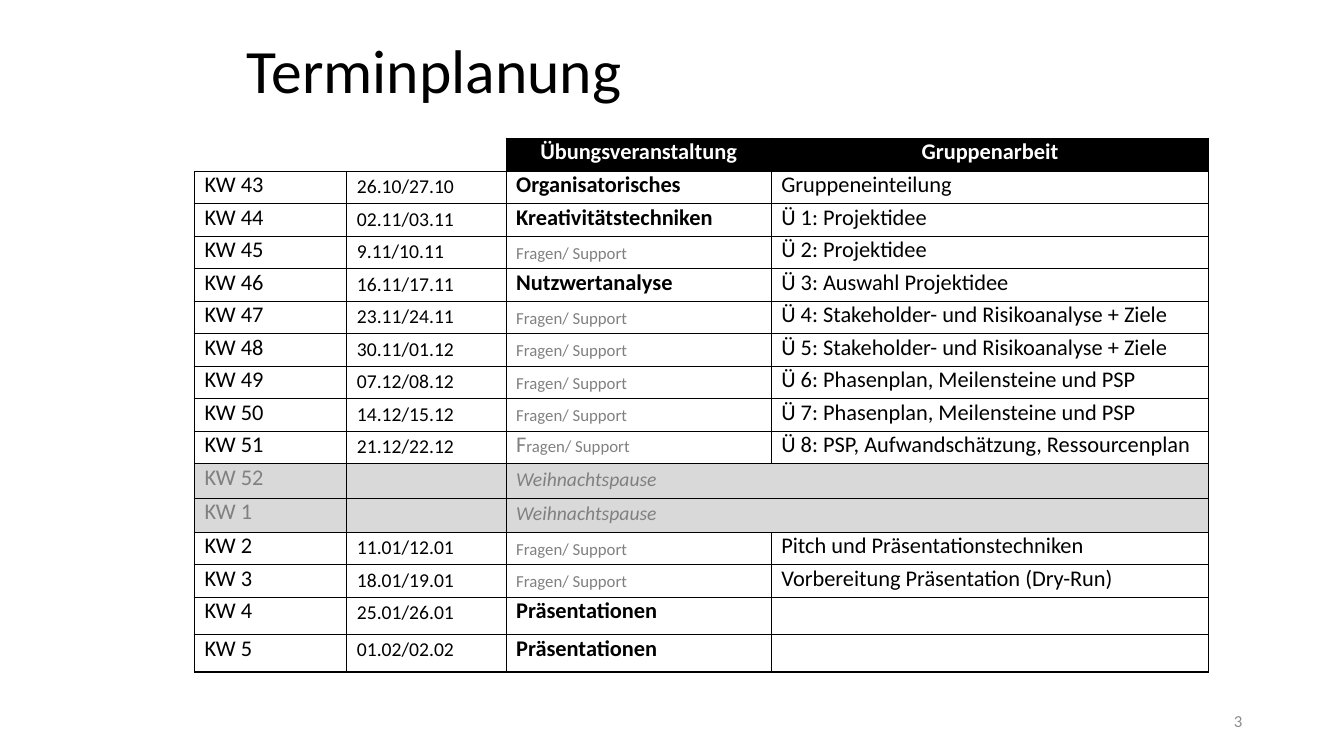
"""Build the schedule slide with its table of weeks."""
from dataclasses import dataclass

from lxml.etree import SubElement
from pptx import Presentation
from pptx.dml.color import RGBColor
from pptx.enum.text import MSO_ANCHOR, PP_ALIGN
from pptx.oxml import parse_xml
from pptx.oxml.ns import nsdecls, qn
from pptx.util import Inches, Pt

COLORS = {"black": "000000", "white": "FFFFFF", "gray": "808080",
          "band": "D9D9D9", "page": "8C8C8C"}
FONT = "Calibri"
SIDES = "LRTB"


@dataclass(frozen=True)
class Run:
    text: str
    size: float = 16
    color: str = "black"
    bold: bool = False
    slant: bool = False


@dataclass(frozen=True)
class Week:
    name: str
    days: str
    topic: tuple[Run, ...]
    task: str = ""
    high: float = 0.32
    pause: bool = False


def topic(text: str) -> tuple[Run, ...]:
    return (Run(text, bold=True),)


HELP = (Run("Fragen/ Support", 12, "gray"),)
MIXED = (Run("F", 16, "gray"), Run("ragen/ Support", 12, "gray"))
BREAK = (Run("Weihnachtspause", 14, "gray", slant=True),)
TALKS = topic("Präsentationen")

WEEKS = (
    Week("KW 43", "26.10/27.10", topic("Organisatorisches"), "Gruppeneinteilung"),
    Week("KW 44", "02.11/03.11", topic("Kreativitätstechniken"), "Ü 1: Projektidee"),
    Week("KW 45", "9.11/10.11", HELP, "Ü 2: Projektidee"),
    Week("KW 46", "16.11/17.11", topic("Nutzwertanalyse"), "Ü 3: Auswahl Projektidee"),
    Week("KW 47", "23.11/24.11", HELP, "Ü 4: Stakeholder- und Risikoanalyse + Ziele"),
    Week("KW 48", "30.11/01.12", HELP, "Ü 5: Stakeholder- und Risikoanalyse + Ziele"),
    Week("KW 49", "07.12/08.12", HELP, "Ü 6: Phasenplan, Meilensteine und PSP"),
    Week("KW 50", "14.12/15.12", HELP, "Ü 7: Phasenplan, Meilensteine und PSP"),
    Week("KW 51", "21.12/22.12", MIXED, "Ü 8: PSP, Aufwandschätzung, Ressourcenplan"),
    Week("KW 52", "", BREAK, high=0.34, pause=True),
    Week("KW 1", "", BREAK, high=0.34, pause=True),
    Week("KW 2", "11.01/12.01", HELP, "Pitch und Präsentationstechniken"),
    Week("KW 3", "18.01/19.01", HELP, "Vorbereitung Präsentation (Dry-Run)"),
    Week("KW 4", "25.01/26.01", TALKS, high=0.37),
    Week("KW 5", "01.02/02.02", TALKS, high=0.37),
)
HEADS = ("", "", "Übungsveranstaltung", "Gruppenarbeit")
WIDTHS = (1.51, 1.58, 2.63, 4.34)
HEAD = 0.33


def rgb(name: str) -> RGBColor:
    return RGBColor.from_string(COLORS[name])


def write(para, runs: tuple[Run, ...]) -> None:
    for item in runs:
        run = para.add_run()
        run.text = item.text
        font = run.font
        font.name, font.size = FONT, Pt(item.size)
        font.bold, font.italic = item.bold, item.slant
        font.color.rgb = rgb(item.color)


def label(slide, box: tuple[float, ...], run: Run, align: PP_ALIGN, space: float) -> None:
    frame = slide.shapes.add_textbox(*map(Inches, box)).text_frame
    frame.word_wrap = True
    frame.vertical_anchor = MSO_ANCHOR.MIDDLE
    para = frame.paragraphs[0]
    para.alignment, para.line_spacing = align, space
    write(para, (run,))


def border(cell, sides: str) -> None:
    props = cell._tc.get_or_add_tcPr()
    for spot, side in enumerate(SIDES):
        fill = (f'<a:solidFill><a:srgbClr val="{COLORS["black"]}"/></a:solidFill>'
                if side in sides else "<a:noFill/>")
        props.insert(spot, parse_xml(
            f'<a:ln{side} {nsdecls("a")} w="{Pt(1)}">{fill}</a:ln{side}>'))


def fill_cell(cell, runs: tuple[Run, ...], fill: str = "", sides: str = SIDES,
              blank: float = 16) -> None:
    if fill:
        cell.fill.solid()
        cell.fill.fore_color.rgb = rgb(fill)
    else:
        cell.fill.background()
    border(cell, sides)
    para = cell.text_frame.paragraphs[0]
    if runs:
        para.line_spacing = Pt(16)
        write(para, runs)
    else:
        SubElement(para._p, qn("a:endParaRPr"), sz=str(int(blank * 100)))


def head_row(table) -> None:
    for col, text in enumerate(HEADS):
        cell = table.cell(0, col)
        if text:
            fill_cell(cell, (Run(text, color="white", bold=True),), "black")
            cell.vertical_anchor = MSO_ANCHOR.MIDDLE
            cell.text_frame.paragraphs[0].alignment = PP_ALIGN.CENTER
        else:
            fill_cell(cell, (), sides="RB" if col == 1 else "B", blank=12)


def week_row(table, row: int, week: Week) -> None:
    tone = "gray" if week.pause else "black"
    texts = (
        (Run(week.name, color=tone),),
        (Run(week.days, 14),) if week.days else (),
        week.topic,
        (Run(week.task),) if week.task else (),
    )
    for col, runs in enumerate(texts):
        fill_cell(table.cell(row, col), runs, "band" if week.pause else "",
                  blank=14 if week.pause else 16)
    if week.pause:
        table.cell(row, 2).merge(table.cell(row, 3))


def plan(slide) -> None:
    highs = (HEAD, *(week.high for week in WEEKS))
    frame = slide.shapes.add_table(
        len(highs), len(WIDTHS), Inches(1.93), Inches(1.37),
        Inches(sum(WIDTHS)), Inches(sum(highs)))
    table = frame.table
    table.first_row = table.horz_banding = False
    for col, width in zip(table.columns, WIDTHS):
        col.width = Inches(width)
    for row, high in zip(table.rows, highs):
        row.height = Inches(high)
    head_row(table)
    for row, week in enumerate(WEEKS, 1):
        week_row(table, row, week)


def main() -> None:
    deck = Presentation()
    deck.slide_width, deck.slide_height = Inches(13.33), Inches(7.5)
    slide = deck.slides.add_slide(deck.slide_layouts[6])
    label(slide, (2.35, 0.22, 8.62, 1.02), Run("Terminplanung", 44), PP_ALIGN.LEFT, 0.9)
    label(slide, (9.42, 6.95, 3, 0.4), Run("3", 12, "page"), PP_ALIGN.RIGHT, 1.0)
    plan(slide)
    deck.save("out.pptx")


if __name__ == "__main__":
    main()
